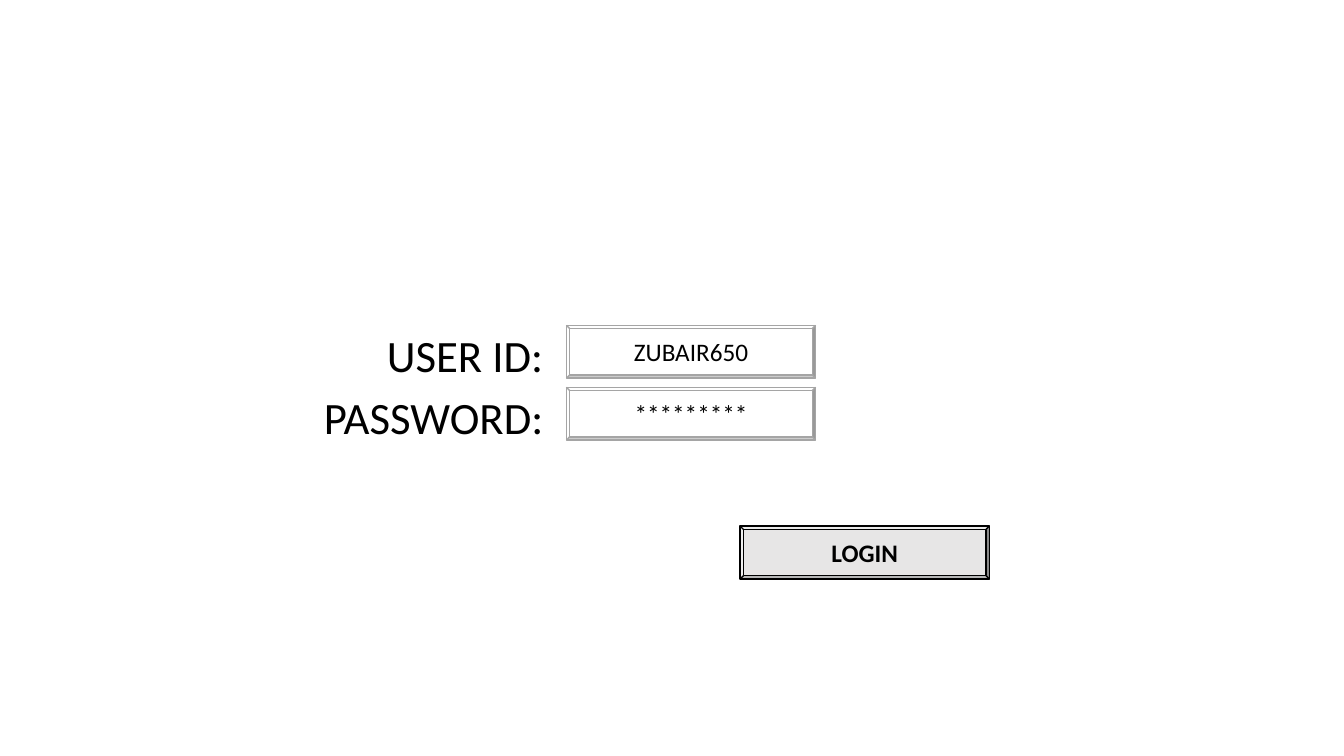
from dataclasses import dataclass

from pptx import Presentation
from pptx.dml.color import RGBColor
from pptx.enum.shapes import MSO_SHAPE
from pptx.enum.text import MSO_ANCHOR, PP_ALIGN
from pptx.util import Cm, Pt


@dataclass(frozen=True)
class Theme:
    font: str = "Calibri"
    text: RGBColor = RGBColor(0x00, 0x00, 0x00)
    field_fill: RGBColor = RGBColor(0xFF, 0xFF, 0xFF)
    field_line: RGBColor = RGBColor(0xA5, 0xA5, 0xA5)
    button_fill: RGBColor = RGBColor(0xE7, 0xE6, 0xE6)
    button_line: RGBColor = RGBColor(0x00, 0x00, 0x00)
    label_size: Pt = Pt(32)
    box_size: Pt = Pt(18)
    line_width: Pt = Pt(1)


THEME = Theme()
BOX_WIDTH, BOX_HEIGHT = Cm(6.28), Cm(1.33)
ROW_PITCH = Cm(1.56)
CREDENTIALS = [("USER ID:", "ZUBAIR650"), ("PASSWORD:", "*********")]


def format_text(paragraph, size, alignment, bold=False):
    paragraph.alignment = alignment
    for run in paragraph.runs:
        run.font.name = THEME.font
        run.font.size = size
        run.font.bold = bold
        run.font.color.rgb = THEME.text


def add_bevel_box(slide, left, top, text, fill, line, bold=False):
    shape = slide.shapes.add_shape(MSO_SHAPE.BEVEL, left, top, BOX_WIDTH, BOX_HEIGHT)
    shape.adjustments[0] = 0.06
    shape.shadow.inherit = False
    shape.fill.solid()
    shape.fill.fore_color.rgb = fill
    shape.line.color.rgb = line
    shape.line.width = THEME.line_width
    text_frame = shape.text_frame
    text_frame.text = text
    text_frame.vertical_anchor = MSO_ANCHOR.MIDDLE
    format_text(text_frame.paragraphs[0], THEME.box_size, PP_ALIGN.CENTER, bold)


def add_labels(slide, left, top, width, height):
    text_frame = slide.shapes.add_textbox(left, top, width, height).text_frame
    text_frame.word_wrap = True
    text_frame.margin_left = text_frame.margin_right = 0
    text_frame.margin_top = text_frame.margin_bottom = 0
    text_frame.text = "\n".join(label for label, _ in CREDENTIALS)
    for index, paragraph in enumerate(text_frame.paragraphs):
        paragraph.line_spacing = 0.9
        paragraph.space_before = Pt(10 if index else 0)
        format_text(paragraph, THEME.label_size, PP_ALIGN.RIGHT)


def add_login_form(slide, left, top, width, height):
    field_left = left + Cm(6.28)
    add_labels(slide, left, top + Cm(0.2), Cm(5.7), ROW_PITCH + BOX_HEIGHT)
    for row, (_, value) in enumerate(CREDENTIALS):
        add_bevel_box(slide, field_left, top + row * ROW_PITCH, value,
                      THEME.field_fill, THEME.field_line)
    add_bevel_box(slide, left + width - BOX_WIDTH, top + height - BOX_HEIGHT,
                  "LOGIN", THEME.button_fill, THEME.button_line, bold=True)


def main():
    presentation = Presentation()
    presentation.slide_width = Cm(33.88)
    presentation.slide_height = Cm(19.05)
    slide = presentation.slides.add_slide(presentation.slide_layouts[6])
    add_login_form(slide, Cm(8), Cm(8.2), Cm(16.94), Cm(6.39))
    presentation.save("out.pptx")


if __name__ == "__main__":
    main()
